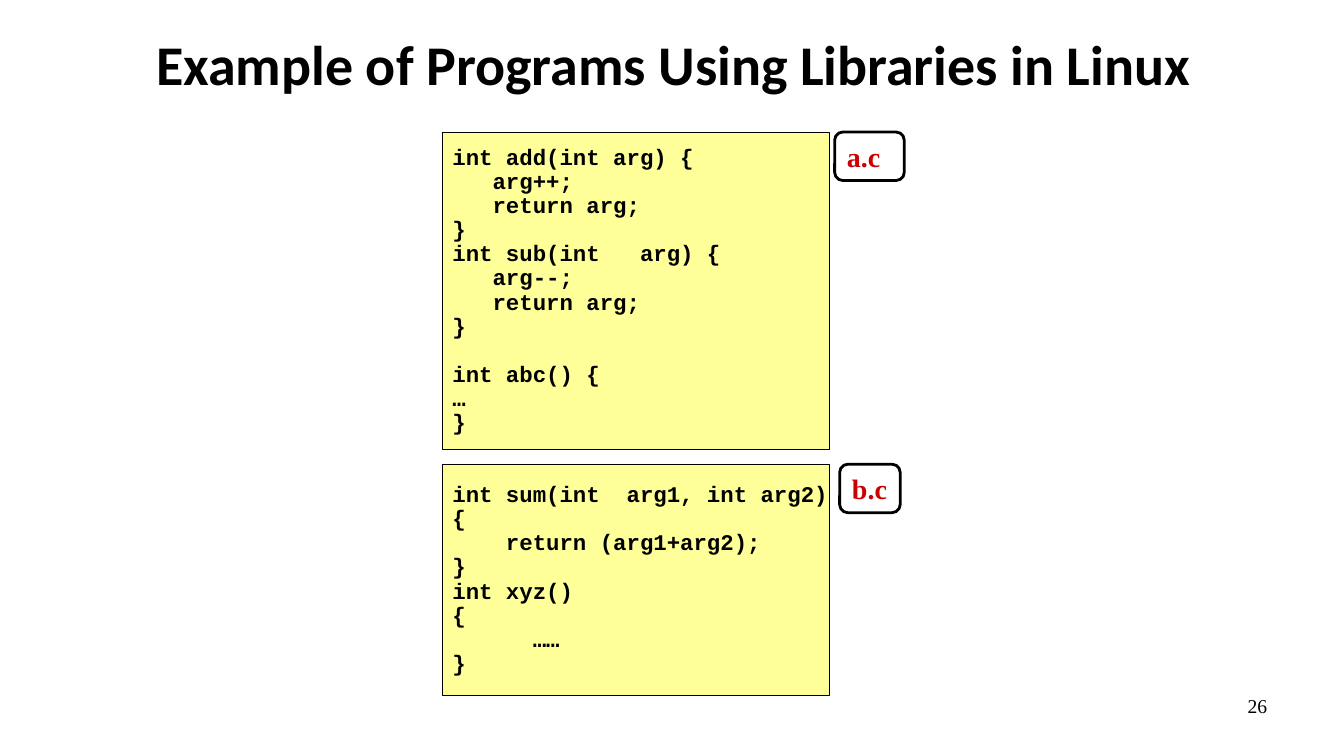
from pptx import Presentation
from pptx.dml.color import RGBColor
from pptx.enum.shapes import MSO_SHAPE
from pptx.enum.text import MSO_ANCHOR, MSO_AUTO_SIZE, PP_ALIGN
from pptx.util import Pt

# Content
TITLE = "Example of Programs Using Libraries in Linux"
PAGE_NUMBER = "26"
ADD_SUB_CODE = [
    "int add(int arg) {",
    "   arg++;",
    "   return arg;",
    "}",
    "int sub(int   arg) {",
    "   arg--;",
    "   return arg;",
    "}",
    "int abc() {",
    "…",
    "}",
]
SUM_CODE = [
    "int sum(int  arg1, int arg2)",
    "{",
    "    return (arg1+arg2);",
    "}",
    "int xyz()",
    "{",
    "      ……",
    "}",
]
# File name, code, line after a gap, box top and height, label left and width
FILES = [
    ("a.c", ADD_SUB_CODE, "int abc() {", 94.3, 226.8, 596.2, 49.7),
    ("b.c", SUM_CODE, None, 331.6, 165, 599.8, 43.2),
]

# Layout and colours
CODE_LEFT, CODE_WIDTH = 316.1, 276.5
LABEL_HEIGHT = 34.6
CODE_LINE_HEIGHT = 17.3
BLACK = RGBColor(0, 0, 0)
WHITE = RGBColor(255, 255, 255)
YELLOW = RGBColor(255, 255, 153)
RED = RGBColor(204, 0, 0)


def add_text(paragraph, text, font_name, size, color=BLACK, bold=True,
             alignment=PP_ALIGN.LEFT):
    paragraph.alignment = alignment
    run = paragraph.add_run()
    run.text = text
    run.font.name = font_name
    run.font.size = Pt(size)
    run.font.bold = bold
    run.font.color.rgb = color


def add_box(slide, kind, left, top, width, height, fill, line_width, anchor):
    shape = slide.shapes.add_shape(kind, Pt(left), Pt(top), Pt(width), Pt(height))
    shape.shadow.inherit = False
    shape.fill.solid()
    shape.fill.fore_color.rgb = fill
    shape.line.color.rgb = BLACK
    shape.line.width = Pt(line_width)
    shape.text_frame.word_wrap = False
    shape.text_frame.vertical_anchor = anchor
    return shape


def add_code(slide, lines, line_after_gap, top, height):
    shape = add_box(slide, MSO_SHAPE.RECTANGLE, CODE_LEFT, top, CODE_WIDTH,
                    height, YELLOW, 0.75, MSO_ANCHOR.MIDDLE)
    frame = shape.text_frame
    for index, line in enumerate(lines):
        paragraph = frame.add_paragraph() if index else frame.paragraphs[0]
        paragraph.line_spacing = 0.9
        if line == line_after_gap:
            paragraph.space_before = Pt(CODE_LINE_HEIGHT)
        add_text(paragraph, line, "Courier New", 16)


def add_label(slide, name, left, top, width):
    shape = add_box(slide, MSO_SHAPE.ROUNDED_RECTANGLE, left, top, width,
                    LABEL_HEIGHT, WHITE, 2, MSO_ANCHOR.TOP)
    shape.text_frame.auto_size = MSO_AUTO_SIZE.SHAPE_TO_FIT_TEXT
    add_text(shape.text_frame.paragraphs[0], name, "Times New Roman", 20, RED)


def main():
    presentation = Presentation()
    presentation.slide_width = Pt(960)
    presentation.slide_height = Pt(540)
    slide = presentation.slides.add_slide(presentation.slide_layouts[5])

    # Title
    title = slide.shapes.title
    title.left, title.top, title.width, title.height = Pt(49), Pt(0), Pt(864), Pt(90)
    title.text_frame.vertical_anchor = MSO_ANCHOR.MIDDLE
    add_text(title.text_frame.paragraphs[0], TITLE, "Calibri", 40,
             alignment=PP_ALIGN.CENTER)

    # Source files with their name labels
    for name, code, line_after_gap, top, height, label_left, label_width in FILES:
        add_code(slide, code, line_after_gap, top, height)
        add_label(slide, name, label_left, top, label_width)

    # Page number
    number = slide.shapes.add_textbox(Pt(688.3), Pt(491.8), Pt(224), Pt(37.4))
    number.text_frame.word_wrap = True
    add_text(number.text_frame.paragraphs[0], PAGE_NUMBER, "Times New Roman", 14,
             bold=False, alignment=PP_ALIGN.RIGHT)

    presentation.save("out.pptx")


if __name__ == "__main__":
    main()
